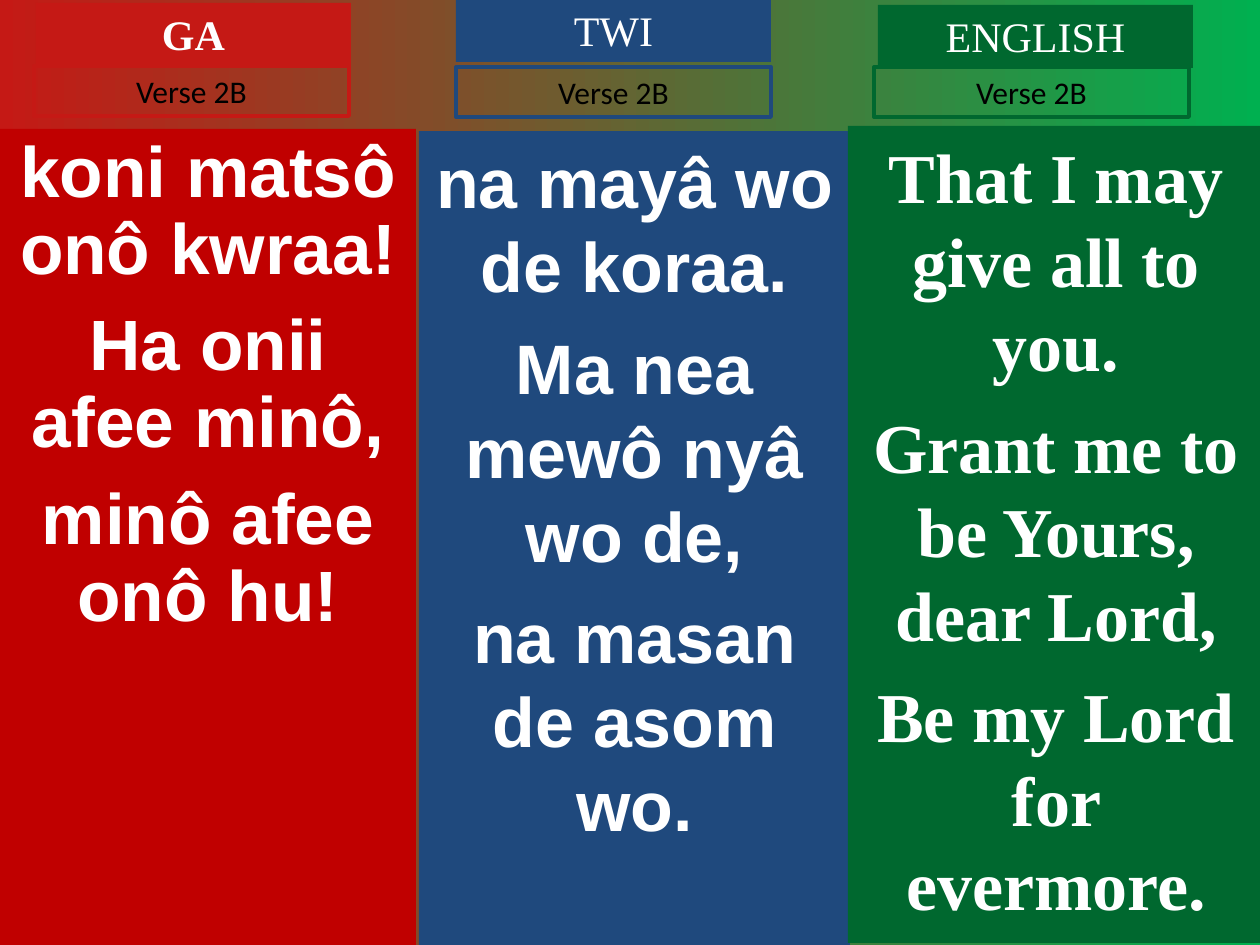
from pptx import Presentation
from pptx.dml.color import RGBColor
from pptx.enum.shapes import MSO_SHAPE
from pptx.enum.text import MSO_ANCHOR, PP_ALIGN
from pptx.util import Emu, Pt

RECTANGLE = MSO_SHAPE.RECTANGLE
TOP = MSO_ANCHOR.TOP
CENTER = PP_ALIGN.CENTER
PX_PER_INCH = 126
SIDE_INSET = 13
LABEL_INSET = 6
COLORS = {
    "red": "C00000",
    "bright_red": "C51915",
    "blue": "1F497D",
    "green": "00682F",
    "light_green": "00B050",
    "white": "FFFFFF",
    "black": "000000",
}
LANGUAGES = [
    {
        "name": "GA", "bold": True, "accent": "bright_red",
        "header": (36, 3, 315, 63), "verse": (34, 66, 315, 50),
        "column": (0, 129, 416, 816), "fill": "red", "inset": 6,
        "font": "Arial", "size": 40.7, "leading": 44, "gap": 11,
        "lyrics": ["koni matsô onô kwraa!", "Ha onii afee minô,", "minô afee onô hu!"],
    },
    {
        "name": "TWI", "bold": False, "accent": "blue",
        "header": (456, -1, 315, 63), "verse": (456, 67, 315, 50),
        "column": (419, 131, 431, 814), "fill": "blue", "inset": 8,
        "font": "Arial", "size": 40, "leading": 48, "gap": 10,
        "lyrics": ["na mayâ wo de koraa.", "Ma nea mewô nyâ wo de,", "na masan de asom wo."],
    },
    {
        "name": "ENGLISH", "bold": False, "accent": "green",
        "header": (878, 5, 315, 63), "verse": (874, 67, 315, 50),
        "column": (848, 126, 416, 817), "fill": "green", "inset": 8,
        "font": "Times New Roman", "size": 40, "leading": 48, "gap": 10,
        "lyrics": ["That I may give all to you.", "Grant me to be Yours, dear Lord,",
                   "Be my Lord for evermore."],
    },
]


def px(length):
    return Emu(round(length * 914400 / PX_PER_INCH))


def color(name):
    return RGBColor.from_string(COLORS[name])


def add_panel(slide, box, fill=None, outline=None):
    panel = slide.shapes.add_shape(RECTANGLE, *map(px, box))
    panel.shadow.inherit = False
    if fill:
        panel.fill.solid()
        panel.fill.fore_color.rgb = color(fill)
    else:
        panel.fill.background()
    if outline:
        panel.line.color.rgb = color(outline)
        panel.line.width = Pt(2.25)
    else:
        panel.line.fill.background()
    return panel


def write(panel, lines, font, size, text_color, bold=False, inset=LABEL_INSET,
          leading=None, gap=0):
    frame = panel.text_frame
    frame.word_wrap = True
    frame.vertical_anchor = TOP
    frame.margin_left = frame.margin_right = px(SIDE_INSET)
    frame.margin_top = px(inset)
    frame.margin_bottom = px(LABEL_INSET)
    frame.text = "\n".join(lines)
    for index, paragraph in enumerate(frame.paragraphs):
        paragraph.alignment = CENTER
        if leading:
            paragraph.line_spacing = Pt(leading)
        if index:
            paragraph.space_before = Pt(gap)
        for run in paragraph.runs:
            run.font.name = font
            run.font.size = Pt(size)
            run.font.bold = bold
            run.font.color.rgb = color(text_color)


def add_language(slide, language):
    column = add_panel(slide, language["column"], fill=language["fill"])
    write(column, language["lyrics"], language["font"], language["size"], "white",
          True, language["inset"], language["leading"], language["gap"])
    header = add_panel(slide, language["header"], fill=language["accent"])
    write(header, [language["name"]], "Times New Roman", 24, "white", language["bold"])
    verse = add_panel(slide, language["verse"], outline=language["accent"])
    write(verse, ["Verse 2B"], "Calibri", 18, "black")


def paint_background(slide):
    fill = slide.background.fill
    fill.gradient()
    fill.gradient_angle = 0
    for stop, name in zip(fill.gradient_stops, ("bright_red", "light_green")):
        stop.color.rgb = color(name)


def main():
    presentation = Presentation()
    presentation.slide_width = px(1260)
    presentation.slide_height = px(945)
    slide = presentation.slides.add_slide(presentation.slide_layouts[6])
    paint_background(slide)
    for language in LANGUAGES:
        add_language(slide, language)
    presentation.save("out.pptx")


if __name__ == "__main__":
    main()
